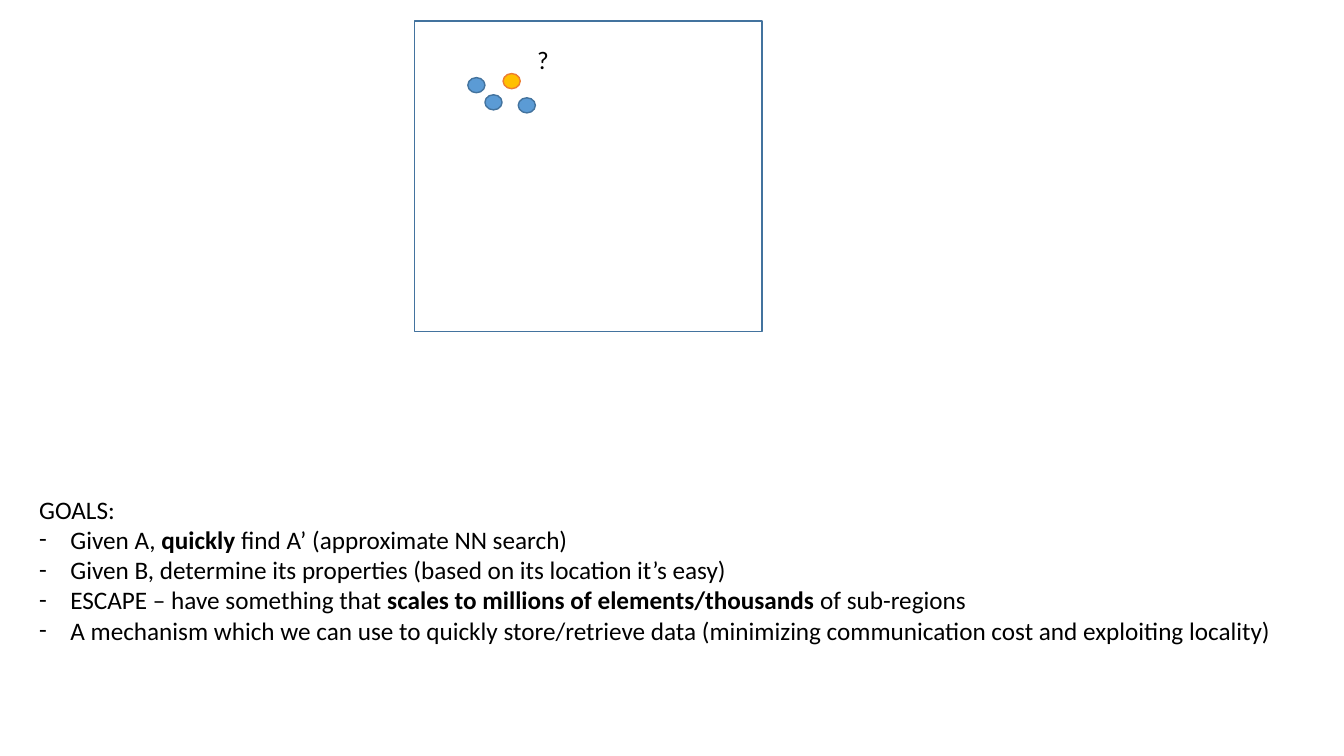
from pptx import Presentation, util as u
from pptx.dml.color import RGBColor
from pptx.enum import shapes, text
from pptx.oxml import parse_xml
from pptx.oxml.ns import nsdecls

BLACK = RGBColor(0x00, 0x00, 0x00)
BLUE = RGBColor(0x5B, 0x9B, 0xD5)
NAVY = RGBColor(0x43, 0x73, 0x9E)
GOLD = RGBColor(0xFF, 0xC0, 0x00)
ORANGE = RGBColor(0xED, 0x7D, 0x31)

DOTS = [
    (0.53, 0.56, BLUE, NAVY),
    (0.70, 0.73, BLUE, NAVY),
    (1.03, 0.76, BLUE, NAVY),
    (0.88, 0.52, GOLD, ORANGE),
]
GOALS = [
    [("Given A, ", False), ("quickly", True),
     (" find A’ (approximate NN search)", False)],
    [("Given B, determine its properties (based on its location it’s easy)", False)],
    [("ESCAPE – have something that ", False),
     ("scales to millions of elements/thousands ", True),
     ("of sub-regions", False)],
    [("A mechanism which we can use to quickly store/retrieve data "
      "(minimizing communication cost and exploiting locality)", False)],
]


def add_run(para, words, size=18, bold=False, color=BLACK, face="Calibri"):
    """Add a formatted run of text to a paragraph."""
    run = para.add_run()
    run.text = words
    font = run.font
    font.size, font.bold, font.name = u.Pt(size), bold, face
    font.color.rgb = color


def add_box(slide, left, top, width, height, wrap=True):
    """Add an empty text box and return its frame."""
    box = slide.shapes.add_textbox(*map(u.Inches, (left, top, width, height)))
    frame = box.text_frame
    frame.word_wrap = wrap
    frame.vertical_anchor = text.MSO_ANCHOR.TOP
    return frame


def add_form(slide, kind, left, top, width, height, line, fill=None):
    """Add an outlined shape, filled if a fill is given."""
    form = slide.shapes.add_shape(kind, *map(u.Inches, (left, top, width, height)))
    form.shadow.inherit = False
    form.line.color.rgb = line
    form.line.width = u.Pt(1)
    if fill is None:
        form.fill.background()
    else:
        form.fill.solid()
        form.fill.fore_color.rgb = fill


def add_dash(para, indent=0.31):
    """Give a paragraph a hanging dash bullet."""
    props = para._p.get_or_add_pPr()
    props.set("marL", str(u.Inches(indent)))
    props.set("indent", str(-u.Inches(indent)))
    props.append(parse_xml(f'<a:buFont {nsdecls("a")} typeface="Calibri"/>'))
    props.append(parse_xml(f'<a:buChar {nsdecls("a")} char="-"/>'))


def draw_space(slide, left, top, width, height):
    """Draw the search space with its points and the query mark."""
    kinds = shapes.MSO_SHAPE
    add_form(slide, kinds.RECTANGLE, left, top, width, height, NAVY)
    for x, y, fill, line in DOTS:
        add_form(slide, kinds.OVAL, left + x, top + y, 0.17, 0.15, line, fill)
    mark = add_box(slide, left + 1.12, top + 0.18, 0.32, 0.4, wrap=False)
    add_run(mark.paragraphs[0], "?")


def draw_goals(slide, left, top, width, height):
    """Write the heading and the list of goals."""
    frame = add_box(slide, left, top, width, height)
    add_run(frame.paragraphs[0], "GOALS:")
    for goal in GOALS:
        para = frame.add_paragraph()
        add_dash(para)
        for words, bold in goal:
            add_run(para, words, bold=bold)


def main():
    """Build the slide and save it."""
    deck = Presentation()
    deck.slide_width, deck.slide_height = u.Inches(13.33), u.Inches(7.5)
    slide = deck.slides.add_slide(deck.slide_layouts[6])
    draw_space(slide, 4.11, 0.21, 3.45, 3.08)
    draw_goals(slide, 0.29, 4.85, 12.57, 1.92)
    deck.save("out.pptx")


if __name__ == "__main__":
    main()
